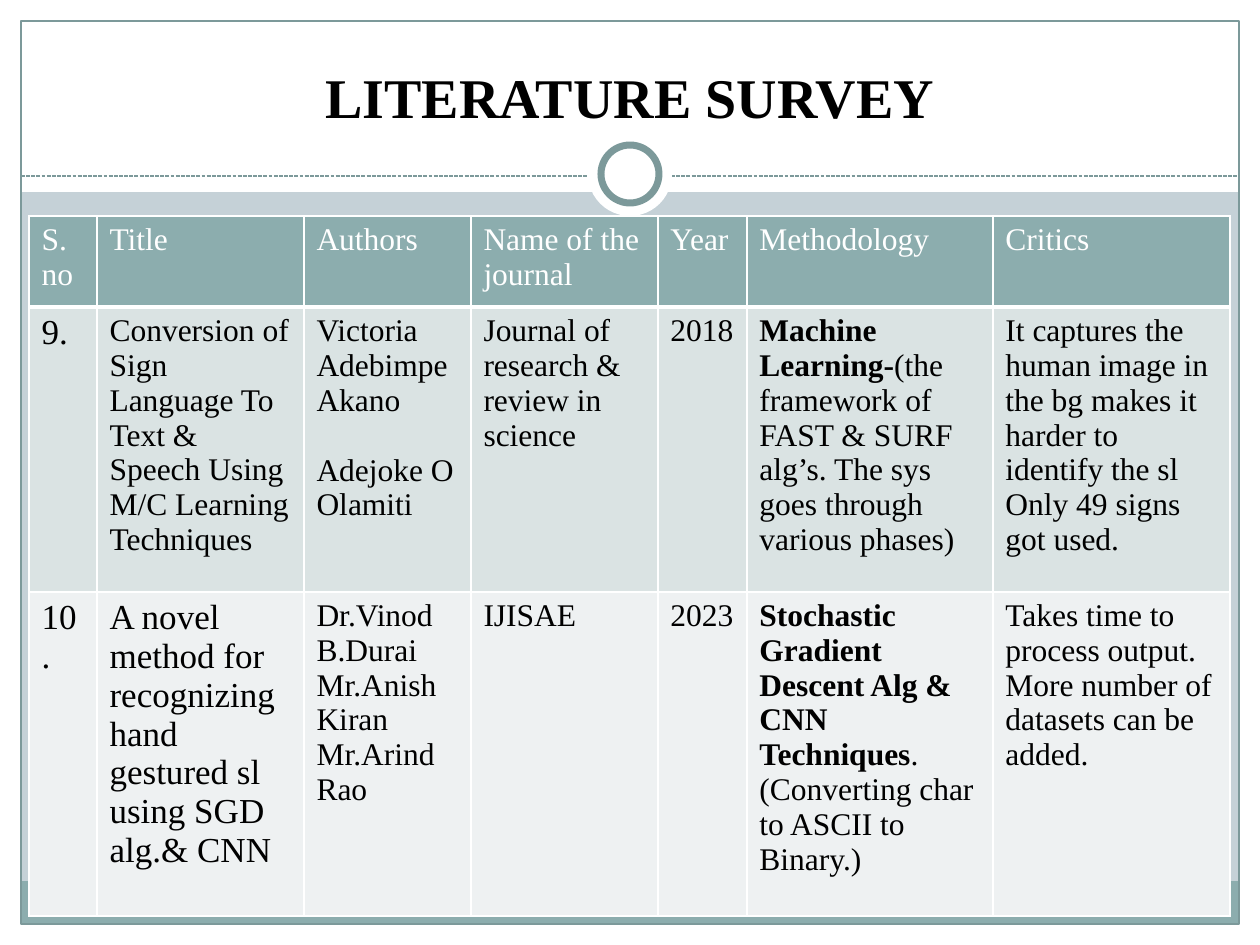
from lxml import etree
from pptx import Presentation
from pptx.dml.color import RGBColor
from pptx.enum.dml import MSO_LINE
from pptx.enum.shapes import MSO_CONNECTOR, MSO_SHAPE
from pptx.enum.text import MSO_ANCHOR, PP_ALIGN
from pptx.oxml.ns import qn
from pptx.util import Emu, Pt

RECT, OVAL = MSO_SHAPE.RECTANGLE, MSO_SHAPE.OVAL
STRAIGHT, DASH = MSO_CONNECTOR.STRAIGHT, MSO_LINE.SQUARE_DOT
CENTER, BOTTOM = PP_ALIGN.CENTER, MSO_ANCHOR.BOTTOM
SCALE = 914400 / 126
FONT = "Times New Roman"
HEX = {"back": "C5D1D7", "white": "FFFFFF", "black": "000000", "teal": "8CADAE",
       "edge": "7C999A", "odd": "DAE3E3", "even": "EEF1F2"}

COLS = [68, 207, 167, 187, 89, 246, 237]
ROWS = [91, 285, 324]
FILLS = ["teal", "odd", "even"]
HEAD = [["S.", "no"], ["Title"], ["Authors"], ["Name of the journal"], ["Year"],
        ["Methodology"], ["Critics"]]
NINE = [
    ["9."],
    ["Conversion of Sign Language To Text & Speech Using M/C Learning Techniques"],
    ["Victoria Adebimpe Akano", "Adejoke O Olamiti"],
    ["Journal of research & review in science"],
    ["2018"],
    [[("Machine Learning-", True),
      ("(the framework of FAST & SURF alg’s. The sys goes through various phases)", False)]],
    ["It captures the human image in the bg makes it harder to identify the sl",
     "Only 49 signs got used."],
]
TEN = [
    ["10."],
    ["A novel method for recognizing hand gestured sl using SGD alg.& CNN"],
    ["Dr.Vinod B.Durai", "Mr.Anish Kiran", "Mr.Arind Rao"],
    ["IJISAE"],
    ["2023"],
    [[("Stochastic Gradient Descent Alg & CNN Techniques", True), (".", False)],
     "(Converting char to ASCII to Binary.)"],
    ["Takes time to process output.", "More number of datasets can be added."],
]
LARGE = {(1, 0), (2, 0), (2, 1)}
GAPS = {(1, 2): 20}


def px(num):
    """Turn pixels into EMU."""
    return Emu(round(num * SCALE))


def tint(name):
    """Return the named colour."""
    return RGBColor.from_string(HEX[name])


def shape(slide, kind, box, fill=None, line=None, width=0.75):
    """Add a flat preset shape."""
    item = slide.shapes.add_shape(kind, *map(px, box))
    item.shadow.inherit = False
    if fill:
        item.fill.solid()
        item.fill.fore_color.rgb = tint(fill)
    else:
        item.fill.background()
    if line:
        item.line.color.rgb = tint(line)
        item.line.width = Pt(width)
    else:
        item.line.fill.background()


def write(para, text, size, color, bold=False):
    """Add one run of text."""
    run = para.add_run()
    run.text = text
    run.font.name = FONT
    run.font.size = Pt(size)
    run.font.bold = bold
    run.font.color.rgb = tint(color)


def frame(slide, box):
    """Draw the margins, foot band and outline."""
    left, top, wide, high = box
    pad = 21
    for part in [(left, top + high - pad, wide, pad), (left, top, wide, 192),
                 (left, top, pad, high), (left + wide - pad, top, pad, high)]:
        shape(slide, RECT, part, "white")
    shape(slide, RECT, (left + pad, top + high - 64, wide - 2 * pad, 43), "teal")
    shape(slide, RECT, (left + pad, top + pad, wide - 2 * pad, high - 2 * pad), line="edge")


def rule(slide, box):
    """Draw the dashed rule with its ring."""
    left, top, wide, high = box
    mid = top + high // 2
    line = slide.shapes.add_connector(STRAIGHT, px(left), px(mid + 2), px(left + wide), px(mid + 2))
    line.line.color.rgb = tint("edge")
    line.line.width = Pt(0.75)
    line.line.dash_style = DASH
    etree.SubElement(line._element.spPr, qn("a:effectLst"))
    for size, edge in [(high, None), (58, "edge")]:
        spot = (left + (wide - size) // 2, mid - size // 2, size, size)
        shape(slide, OVAL, spot, "white", edge, 4)


def title(slide, box):
    """Write the heading."""
    text = slide.shapes.add_textbox(*map(px, box)).text_frame
    text.word_wrap = True
    text.vertical_anchor = BOTTOM
    para = text.paragraphs[0]
    para.alignment = CENTER
    write(para, "LITERATURE SURVEY", 32, "black", True)


def border(cell, low):
    """Give a cell white borders."""
    props = cell._tc.get_or_add_tcPr()
    for spot, side in enumerate(["lnL", "lnR", "lnT", "lnB"]):
        wide = low if side == "lnB" else 1
        line = etree.Element(qn("a:" + side), w=str(Pt(wide)))
        fill = etree.SubElement(line, qn("a:solidFill"))
        etree.SubElement(fill, qn("a:srgbClr"), val=HEX["white"])
        props.insert(spot, line)


def survey(slide, box):
    """Build the table of papers."""
    grid = slide.shapes.add_table(len(ROWS), len(COLS), *map(px, box)).table
    for col, wide in zip(grid.columns, COLS):
        col.width = px(wide)
    for row, high in zip(grid.rows, ROWS):
        row.height = px(high)
    for r, row in enumerate([HEAD, NINE, TEN]):
        for c, paras in enumerate(row):
            cell = grid.cell(r, c)
            cell.fill.solid()
            cell.fill.fore_color.rgb = tint(FILLS[r])
            border(cell, 1 if r else 3)
            size = 20 if (r, c) in LARGE else 18
            for n, runs in enumerate(paras):
                text = cell.text_frame
                para = text.add_paragraph() if n else text.paragraphs[0]
                if n and (r, c) in GAPS:
                    para.space_before = Pt(GAPS[r, c])
                for words, bold in [(runs, False)] if isinstance(runs, str) else runs:
                    write(para, words, size, "black" if r else "white", bold)


def main():
    """Build and save the slide."""
    deck = Presentation()
    deck.slide_width, deck.slide_height = px(1260), px(945)
    slide = deck.slides.add_slide(deck.slide_layouts[6])
    slide.background.fill.solid()
    slide.background.fill.fore_color.rgb = tint("back")
    frame(slide, (0, 0, 1260, 945))
    rule(slide, (21, 132, 1218, 84))
    title(slide, (42, 31, 1176, 105))
    survey(slide, (29, 216, sum(COLS), sum(ROWS)))
    deck.save("out.pptx")


if __name__ == "__main__":
    main()
